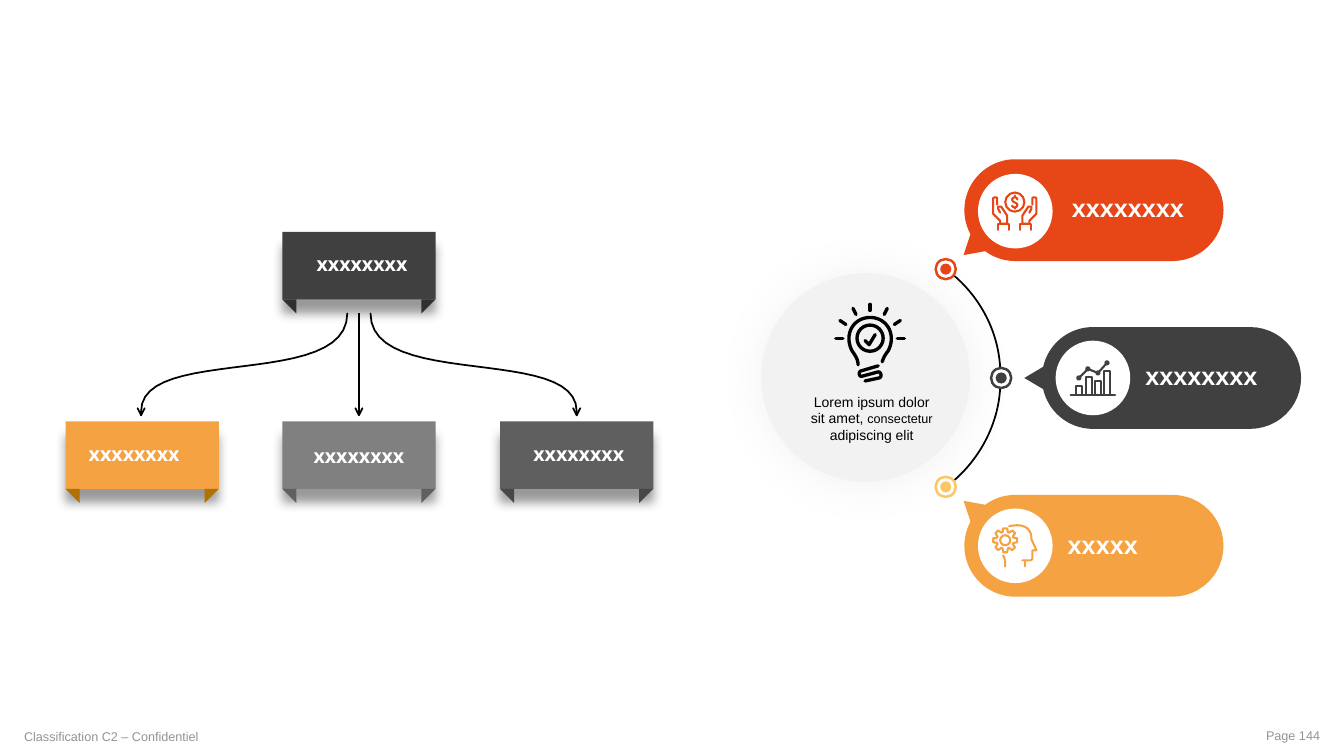
from math import cos, radians, sin

from lxml import etree
from pptx import Presentation
from pptx.dml.color import RGBColor
from pptx.enum.shapes import MSO_CONNECTOR, MSO_SHAPE
from pptx.enum.text import MSO_ANCHOR, MSO_AUTO_SIZE, PP_ALIGN
from pptx.oxml.ns import qn
from pptx.util import Inches, Pt

COLORS = {
    "black": "000000", "white": "FFFFFF", "footer": "949494",
    "dark": "3F403F", "dark fold": "2F302F",
    "slate": "5F5F5F", "slate fold": "474747",
    "grey": "808080", "grey fold": "606060",
    "orange": "F5A243", "orange fold": "AD7203",
    "red": "E74617", "yellow": "FCC765", "disc": "F1F2F1",
}


def paint(shape, fill=None, line=None, width=1.25):
    shape.shadow.inherit = False
    if fill:
        shape.fill.solid()
        shape.fill.fore_color.rgb = RGBColor.from_string(COLORS[fill])
    else:
        shape.fill.background()
    if line:
        shape.line.color.rgb = RGBColor.from_string(COLORS[line])
        shape.line.width = Pt(width)
        shape._element.spPr.find(qn("a:ln")).set("cap", "rnd")
    else:
        shape.line.fill.background()
    return shape


def add_outline(contours, closed=False, **style):
    """Draw contours of (x, y) points; six numbers make a cubic curve."""
    builder = None
    for contour in contours:
        points = []
        for step in contour:
            if len(step) == 2:
                points.append(step)
                continue
            knots = [points[-1], step[:2], step[2:4], step[4:]]
            for i in range(1, 25):
                t = i / 24
                weights = ((1 - t) ** 3, 3 * t * (1 - t) ** 2, 3 * t * t * (1 - t), t ** 3)
                points.append(tuple(sum(w * k[axis] for w, k in zip(weights, knots))
                                    for axis in (0, 1)))
        points = [(Inches(x), Inches(y)) for x, y in points]
        if builder is None:
            builder = slide.shapes.build_freeform(*points[0])
        else:
            builder.move_to(*points[0])
        builder.add_line_segments(points[1:], close=closed)
    return paint(builder.convert_to_shape(), **style)


presentation = Presentation()
presentation.slide_width = Inches(13.33)
presentation.slide_height = Inches(7.5)
slide = presentation.slides.add_slide(presentation.slide_layouts[6])
shapes = slide.shapes

# Arrows of the organisation chart
middle = 3.56
arrow_top, arrow_tip = 3.11, 4.12
for side in (-1, 0, 1):
    start, end = middle + side * 0.115, middle + side * 2.16
    if side:
        add_outline([[(end, arrow_tip), (end, 4.08),
                      (end, 3.42, start, 3.87, start, arrow_top)]], line="black")
    else:
        stem = shapes.add_connector(MSO_CONNECTOR.STRAIGHT, Inches(start), Inches(arrow_top),
                                    Inches(end), Inches(arrow_tip))
        stem.line.color.rgb = RGBColor.from_string(COLORS["black"])
        stem.line.width = Pt(1.25)
        etree.SubElement(stem._element.spPr, qn("a:effectLst"))
    add_outline([[(end - 0.035, 4.05), (end, arrow_tip), (end + 0.035, 4.05)]], line="black")

# Boxes with folded corners
shadows = []
box_width, box_height, fold = 1.52, 0.67, 0.14
for left, top, color in ((2.8, 2.3, "dark"), (4.96, 4.18, "slate"),
                         (2.8, 4.18, "grey"), (0.65, 4.18, "orange")):
    box = shapes.add_shape(MSO_SHAPE.RECTANGLE, Inches(left), Inches(top),
                           Inches(box_width), Inches(box_height))
    shadows.append((paint(box, color), "black", 40, 8, 10, 90))
    bottom = top + box_height
    for corner, inward in ((left, fold), (left + box_width, -fold)):
        add_outline([[(corner, bottom), (corner + inward, bottom + fold),
                      (corner + inward, bottom)]], closed=True, fill=color + " fold")

# Arc between the markers
add_outline([[(9.47, 2.74), (9.72, 2.96, 9.9, 3.28, 9.92, 3.65)]], line="black")
add_outline([[(9.92, 3.85), (9.9, 4.21, 9.72, 4.54, 9.47, 4.76)]], line="black")

# Callouts: pill outlines whose tail points at the given angle
radius, straight, tail_reach, tail_half = 0.505, 1.56, 0.68, 12.7
circles = []
for x, y, tail, color in ((10.07, 2.085, 139, "red"), (10.84, 3.75, 180, "dark"),
                          (10.07, 5.415, 221, "orange")):
    arcs = [(x + straight, -90, 90, radius), (x, 90, tail - tail_half, radius),
            (x, tail, tail, tail_reach), (x, tail + tail_half, 270, radius)]
    pill = []
    for center, first, last, reach in arcs:
        steps = 24 if last > first else 0
        for i in range(steps + 1):
            angle = radians(first + (last - first) * i / max(steps, 1))
            pill.append((center + reach * cos(angle), y + reach * sin(angle)))
    add_outline([pill], closed=True, fill=color)
    circles.append((x, y + 0.01 if color == "red" else y, 0.74, "white", None, 0))

# Circles: center, diameter, fill, line, line width
for x, y, color in ((9.38, 2.67, "red"), (9.93, 3.75, "dark"), (9.38, 4.83, "yellow")):
    circles += [(x, y, 0.2, None, color, 1.75), (x, y, 0.11, color, None, 0)]
chart_points = [(10.7, 3.75), (10.79, 3.66), (10.89, 3.7), (10.98, 3.6)]
circles += [(x, y, 0.03, None, "dark", 1.5) for x, y in chart_points]
circles += [
    (9.97, 5.36, 0.1, None, "orange", 1.5),
    (10.065, 2.005, 0.19, None, "red", 1.5),
    (8.585, 3.745, 2.07, "disc", None, 0),
    (8.63, 3.355, 0.26, None, "black", 2.38),
]
for x, y, diameter, fill, line, width in circles:
    circle = shapes.add_shape(MSO_SHAPE.OVAL, Inches(x - diameter / 2), Inches(y - diameter / 2),
                              Inches(diameter), Inches(diameter))
    paint(circle, fill, line, width)
    if fill == "disc":
        shadows.append((circle, "grey", 9, 32, 1, 45))

# Icon of a head with a gear
gear = []
for tooth in range(0, 360, 45):
    for offset, reach in ((-18, 0.085), (-9.5, 0.12), (9.5, 0.12), (18, 0.085)):
        angle = radians(tooth + offset)
        gear.append((9.97 + reach * cos(angle), 5.36 + reach * sin(angle)))
add_outline([gear], closed=True, line="orange", width=1.5)
add_outline([
    [(10.01, 5.22), (10.25, 5.17, 10.23, 5.35, 10.23, 5.35), (10.28, 5.46), (10.24, 5.46),
     (10.24, 5.53), (10.24, 5.55, 10.23, 5.56, 10.21, 5.56), (10.14, 5.56)],
    [(10.17, 5.56), (10.17, 5.62)],
    [(9.97, 5.62), (9.97, 5.56), (9.95, 5.51)],
], line="orange", width=1.5)

# Icon of hands around a coin
hand = [
    [(9.92, 2.11), (9.9, 2.07), (9.9, 2.05), (9.91, 2.05), (9.93, 2.05), (9.99, 2.14),
     (9.99, 2.22), (9.92, 2.22), (9.92, 2.19), (9.85, 2.12), (9.85, 1.97),
     (9.85, 1.96, 9.89, 1.95, 9.89, 1.97), (9.89, 2.03)],
    [(10.01, 2.28), (10.01, 2.22), (9.9, 2.22), (9.9, 2.28)],
]
mirrored_hand = [[tuple(20.13 - n if i % 2 == 0 else n for i, n in enumerate(step))
                  for step in contour] for contour in hand]
dollar = [
    [(10.04, 2.04), (10.04, 2.06, 10.09, 2.07, 10.09, 2.03),
     (10.09, 2.01, 10.04, 2.01, 10.04, 1.98), (10.04, 1.95, 10.09, 1.95, 10.09, 1.98)],
    [(10.07, 1.96), (10.07, 1.94)],
    [(10.07, 2.07), (10.07, 2.06)],
]
add_outline(hand + mirrored_hand + dollar, line="red", width=1.5)

# Icon of a chart
bars = [[(x, 3.92), (x, y), (x + 0.06, y), (x + 0.06, 3.92)]
        for x, y in ((10.67, 3.83), (10.77, 3.74), (10.86, 3.78), (10.95, 3.68))]
add_outline(bars + [[(10.62, 3.92), (11.06, 3.92)], chart_points], line="dark", width=1.5)

# Icon of a light bulb
rays = [[(8.63, 3.08), (8.63, 3.02)]]
for side in (-1, 1):
    rays += [[(8.63 + side * x1, y1), (8.63 + side * x2, y2)] for x1, y1, x2, y2 in
             ((0.14, 3.12, 0.17, 3.06), (0.24, 3.22, 0.3, 3.18), (0.27, 3.36, 0.34, 3.36))]
add_outline(rays + [
    [(8.51, 3.62), (8.51, 3.58, 8.5, 3.55, 8.45, 3.48), (8.43, 3.44, 8.42, 3.4, 8.42, 3.36),
     (8.42, 3.24, 8.51, 3.15, 8.63, 3.15), (8.75, 3.15, 8.84, 3.24, 8.84, 3.36),
     (8.84, 3.4, 8.83, 3.44, 8.81, 3.48), (8.77, 3.53, 8.76, 3.56, 8.75, 3.59)],
    [(8.58, 3.38), (8.62, 3.42), (8.68, 3.32)],
    [(8.71, 3.63), (8.54, 3.68), (8.51, 3.69, 8.52, 3.75, 8.56, 3.73), (8.71, 3.69),
     (8.74, 3.69, 8.75, 3.74, 8.72, 3.75), (8.58, 3.78)],
], line="black", width=2.38)

for shape, color, opacity, blur, distance, direction in shadows:
    effects = shape._element.spPr.find(qn("a:effectLst"))
    shadow = etree.SubElement(effects, qn("a:outerShdw"), blurRad=str(Pt(blur)),
                              dist=str(Pt(distance)), dir=str(direction * 60000),
                              algn="ctr", rotWithShape="0")
    tint = etree.SubElement(shadow, qn("a:srgbClr"), val=COLORS[color])
    etree.SubElement(tint, qn("a:alpha"), val=str(opacity * 1000))

# Texts: place, runs with sizes, and a format
box_label = {"name": "Open Sans", "bold": True, "color": "white"}
callout_label = {"name": "Arial", "bold": True, "color": "white"}
footer = {"name": "Arial", "bold": False, "color": "footer"}
disc_text = {"name": "Arial", "bold": False, "color": "black"}
texts = [
    ((0.14, 7.11, 2.08, 0.4), [("Classification C2 – Confidentiel", 9)], footer, PP_ALIGN.LEFT),
    ((10.47, 7.1, 2.72, 0.4), [("Page 144", 9)], footer, PP_ALIGN.RIGHT),
    ((7.94, 3.85, 1.41, 0.62), [("Lorem ipsum dolor sit amet, ", 10), ("consectetur", 9),
                               (" adipiscing elit", 10)], disc_text, PP_ALIGN.CENTER),
]
for left, top, width in ((3.14, 2.5, 0.91), (5.29, 4.38, 0.94), (3.11, 4.4, 0.91), (0.88, 4.38, 0.91)):
    texts.append(((left, top, width, 0.24), [("xxxxxxxx", 14)], box_label, PP_ALIGN.LEFT))
for left, top, width, label in ((10.59, 5.25, 0.7, "xxxxx"), (10.63, 1.91, 1.12, "xxxxxxxx"),
                                (11.36, 3.57, 1.12, "xxxxxxxx")):
    texts.append(((left, top, width, 0.3), [(label, 18)], callout_label, PP_ALIGN.LEFT))
for place, runs, style, alignment in texts:
    frame = shapes.add_textbox(*[Inches(length) for length in place]).text_frame
    frame.word_wrap = not style["bold"]
    if style["bold"]:
        for margin in ("margin_left", "margin_top", "margin_right", "margin_bottom"):
            setattr(frame, margin, 0)
    if style is footer:
        frame.vertical_anchor = MSO_ANCHOR.MIDDLE
    else:
        frame.auto_size = MSO_AUTO_SIZE.SHAPE_TO_FIT_TEXT
    paragraph = frame.paragraphs[0]
    paragraph.alignment = alignment
    for text, size in runs:
        run = paragraph.add_run()
        run.text = text
        for name, value in {"name": style["name"], "bold": style["bold"], "size": Pt(size)}.items():
            setattr(run.font, name, value)
        run.font.color.rgb = RGBColor.from_string(COLORS[style["color"]])

presentation.save("out.pptx")
